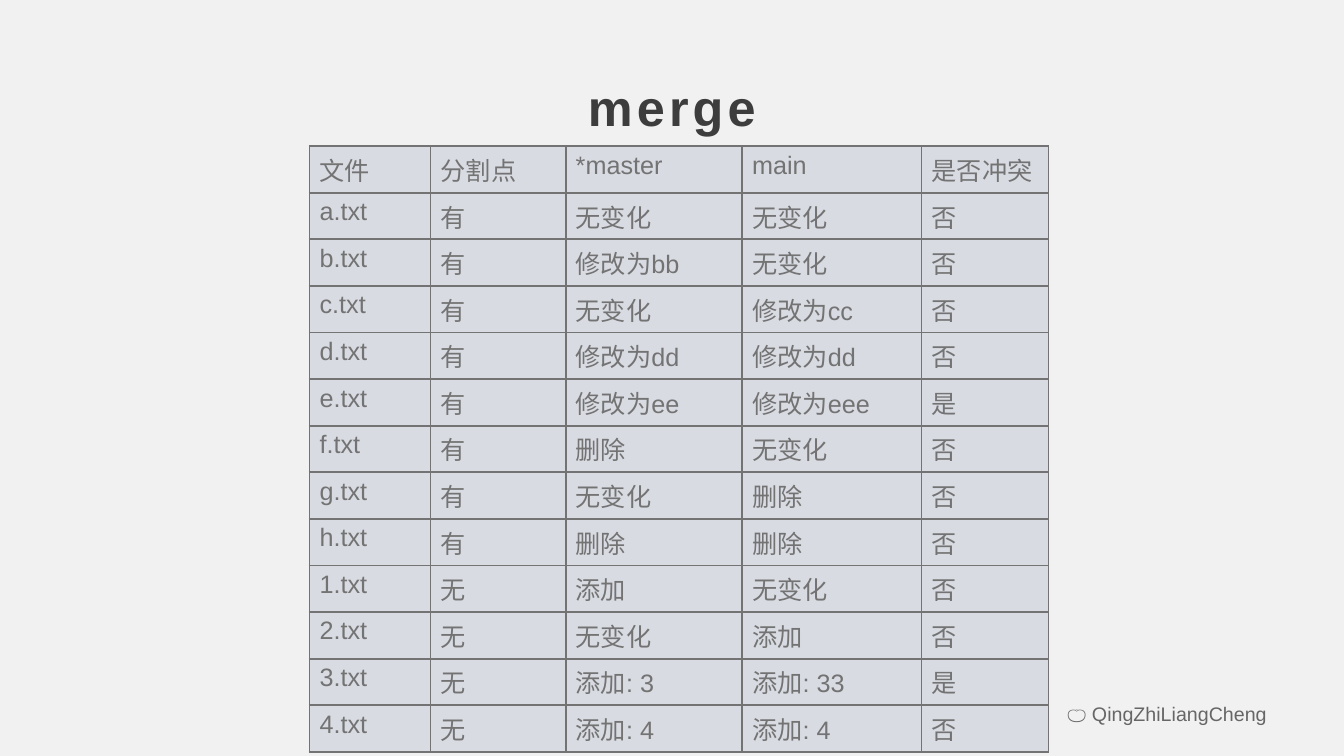
from lxml.etree import SubElement
from pptx import Presentation
from pptx.dml.color import RGBColor
from pptx.enum.text import MSO_ANCHOR as Anchor, PP_ALIGN as Align
from pptx.oxml.ns import qn
from pptx.util import Inches, Pt

WIDTH, HEIGHT = 13.33, 7.5
FONT = "Arial"
COLORS = {"page": "F1F1F1", "title": "3D3D3D", "body": "737373",
          "footer": "666666", "cell": "D8DBE2"}

COLUMN_WIDTHS = [1.2, 1.34, 1.75, 1.78, 1.26]
TABLE_HEIGHT = 6.01
ROWS = [
    ["文件", "分割点", "*master", "main", "是否冲突"],
    ["a.txt", "有", "无变化", "无变化", "否"],
    ["b.txt", "有", "修改为bb", "无变化", "否"],
    ["c.txt", "有", "无变化", "修改为cc", "否"],
    ["d.txt", "有", "修改为dd", "修改为dd", "否"],
    ["e.txt", "有", "修改为ee", "修改为eee", "是"],
    ["f.txt", "有", "删除", "无变化", "否"],
    ["g.txt", "有", "无变化", "删除", "否"],
    ["h.txt", "有", "删除", "删除", "否"],
    ["1.txt", "无", "添加", "无变化", "否"],
    ["2.txt", "无", "无变化", "添加", "否"],
    ["3.txt", "无", "添加: 3", "添加: 33", "是"],
    ["4.txt", "无", "添加: 4", "添加: 4", "否"],
]


def write(frame, text, size=18, color="body", bold=False, align=Align.LEFT, spacing=0):
    para = frame.paragraphs[0]
    para.alignment = align
    span = para.add_run()
    span.text = text
    font = span.font
    font.name, font.size, font.bold = FONT, Pt(size), bold
    font.color.rgb = RGBColor.from_string(COLORS[color])
    if spacing:
        font._element.set("spc", str(spacing * 100))


def add_text(page, box, text, **style):
    frame = page.shapes.add_textbox(*map(Inches, box)).text_frame
    frame.word_wrap = True
    frame.vertical_anchor = Anchor.MIDDLE
    write(frame, text, **style)


def outline(cell, color, width):
    properties = cell._tc.get_or_add_tcPr()
    for position, side in enumerate(("a:lnL", "a:lnR", "a:lnT", "a:lnB")):
        line = SubElement(properties, qn(side), w=str(Pt(width)))
        fill = SubElement(line, qn("a:solidFill"))
        SubElement(fill, qn("a:srgbClr"), val=COLORS[color])
        properties.insert(position, line)


def add_merge_table(page, left, top):
    box = left, top, sum(COLUMN_WIDTHS), TABLE_HEIGHT
    table = page.shapes.add_table(len(ROWS), len(COLUMN_WIDTHS), *map(Inches, box)).table
    table.first_row = table.horz_banding = False
    for column, width in zip(table.columns, COLUMN_WIDTHS):
        column.width = Inches(width)
    for row, texts in zip(table.rows, ROWS):
        row.height = Inches(TABLE_HEIGHT / len(ROWS))
        for cell, text in zip(row.cells, texts):
            cell.fill.solid()
            cell.fill.fore_color.rgb = RGBColor.from_string(COLORS["cell"])
            outline(cell, "body", 1.5)
            write(cell.text_frame, text)


def build_merge_slide(deck):
    page = deck.slides.add_slide(deck.slide_layouts[6])
    page.background.fill.solid()
    page.background.fill.fore_color.rgb = RGBColor.from_string(COLORS["page"])

    # Footer signature
    add_text(page, (WIDTH * 0.95 - 4.44, 6.91, 4.44, 0.34), "🍊 QingZhiLiangCheng",
             size=14, color="footer", align=Align.RIGHT)

    # Title
    add_text(page, (WIDTH * 0.05, 0.67, WIDTH * 0.9, 0.77), "merge",
             size=36, color="title", bold=True, align=Align.CENTER, spacing=3)

    # Merge cases
    add_merge_table(page, 3.07, 1.45)


def main():
    deck = Presentation()
    deck.slide_width, deck.slide_height = Inches(WIDTH), Inches(HEIGHT)
    build_merge_slide(deck)
    deck.save("out.pptx")


if __name__ == "__main__":
    main()
